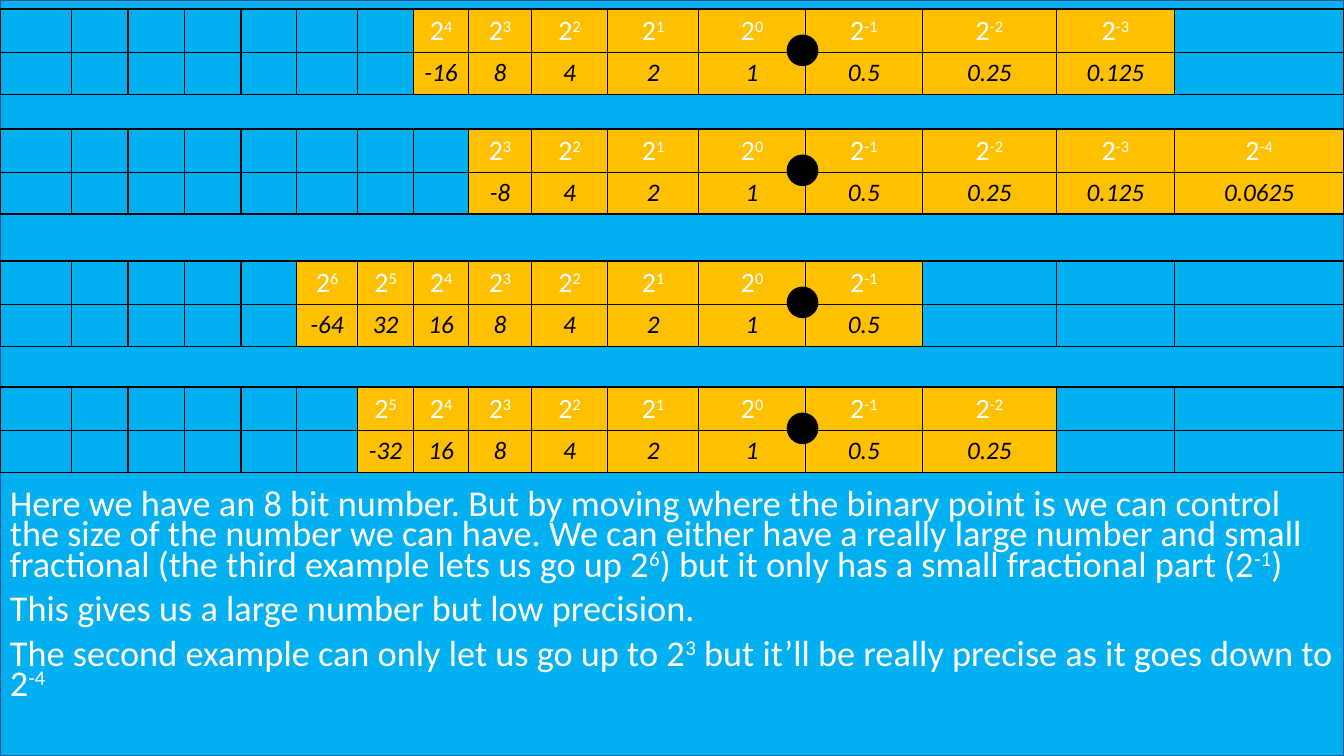
from pptx import Presentation
from pptx.dml.color import RGBColor
from pptx.enum.shapes import MSO_SHAPE
from pptx.enum.text import PP_ALIGN
from pptx.oxml import parse_xml
from pptx.oxml.ns import nsdecls
from pptx.util import Inches, Pt

RECTANGLE, OVAL = MSO_SHAPE.RECTANGLE, MSO_SHAPE.OVAL
LEFT, CENTER = PP_ALIGN.LEFT, PP_ALIGN.CENTER

PARAGRAPHS = [
    "Here we have an 8 bit number. But by moving where the binary point is we can control "
    "the size of the number we can have. We can either have a really large number and small "
    "fractional (the third example lets us go up 2^6^) but it only has a small fractional part (2^-1^)",
    "This gives us a large number but low precision.",
    "The second example can only let us go up to 2^3^ but it’ll be really precise as it goes down to 2^-4^",
]
EXAMPLES = [(0.09, 4), (1.28, 3), (2.59, 6), (3.84, 5)]
BITS = 8
UNITS_COLUMN = 11
COLUMNS = [0.71, 0.56, 0.56, 0.56, 0.55, 0.61, 0.55, 0.55,
           0.62, 0.76, 0.9, 1.06, 1.16, 1.33, 1.17, 1.68]
ROW = 0.41
DOT = 0.3
DOT_LEFT, DOT_DROP = 7.81, 0.26
WIDTH, HEIGHT = 13.33, 7.5
TEXT_TOP = 4.83

COLORS = {"sky": "00B0F0", "edge": "325491", "amber": "FFC000",
          "black": "000000", "white": "FFFFFF"}
BODY = {"size": Pt(25.9), "name": "Calibri"}
POWER = {"size": Pt(20), "name": "Calibri", "bold": False}
VALUE = {"size": Pt(18), "name": "Calibri", "bold": False, "italic": True}


def add_filled_shape(page, kind, bounds, fill, line):
    shape = page.shapes.add_shape(kind, *map(Inches, bounds))
    shape.shadow.inherit = False
    shape.fill.solid()
    shape.fill.fore_color.rgb = RGBColor.from_string(COLORS[fill])
    shape.line.color.rgb = RGBColor.from_string(COLORS[line])
    shape.line.width = Pt(1)


def write(para, text, style, color, align):
    para.alignment = align
    for index, part in enumerate(text.split("^")):
        if not part:
            continue
        span = para.add_run()
        span.text = part
        for name, value in style.items():
            setattr(span.font, name, value)
        span.font.color.rgb = RGBColor.from_string(COLORS[color])
        if index % 2:
            span.font._element.set("baseline", "30000")


def format_cell(cell, fill):
    properties = cell._tc.get_or_add_tcPr()
    for side in ("lnL", "lnR", "lnT", "lnB"):
        properties.append(parse_xml(
            f'<a:{side} {nsdecls("a")} w="12700"><a:solidFill>'
            f'<a:srgbClr val="{COLORS["black"]}"/></a:solidFill></a:{side}>'))
    cell.fill.solid()
    cell.fill.fore_color.rgb = RGBColor.from_string(COLORS[fill])


def add_example(page, top, highest):
    frame = page.shapes.add_table(2, len(COLUMNS), 0, Inches(top),
                                  Inches(WIDTH), Inches(2 * ROW))
    table = frame.table
    for row in table.rows:
        row.height = Inches(ROW)
    for index, width in enumerate(COLUMNS):
        table.columns[index].width = Inches(width)
        exponent = UNITS_COLUMN - index
        used = highest - BITS < exponent <= highest
        sign = -1 if exponent == highest else 1
        entries = [(f"2^{exponent}", POWER, "white"),
                   (f"{sign * 2 ** exponent:g}", VALUE, "black")]
        for row, (text, style, color) in enumerate(entries):
            cell = table.cell(row, index)
            format_cell(cell, "amber" if used else "sky")
            if used:
                write(cell.text_frame.paragraphs[0], text, style, color, CENTER)
    add_filled_shape(page, OVAL, (DOT_LEFT, top + DOT_DROP, DOT, DOT), "black", "black")


def add_explanation(page):
    box = page.shapes.add_textbox(0, Inches(TEXT_TOP), Inches(WIDTH),
                                  Inches(HEIGHT - TEXT_TOP))
    frame = box.text_frame
    frame.word_wrap = True
    for index, text in enumerate(PARAGRAPHS):
        para = frame.add_paragraph() if index else frame.paragraphs[0]
        para.line_spacing = 0.7
        para.space_before = Pt(10 if index else 0)
        write(para, text, BODY, "white", LEFT)


def main():
    deck = Presentation()
    deck.slide_width, deck.slide_height = Inches(WIDTH), Inches(HEIGHT)
    page = deck.slides.add_slide(deck.slide_layouts[6])
    add_filled_shape(page, RECTANGLE, (0, 0, WIDTH, HEIGHT), "sky", "edge")
    add_explanation(page)
    for top, highest in EXAMPLES:
        add_example(page, top, highest)
    deck.save("out.pptx")


if __name__ == "__main__":
    main()
